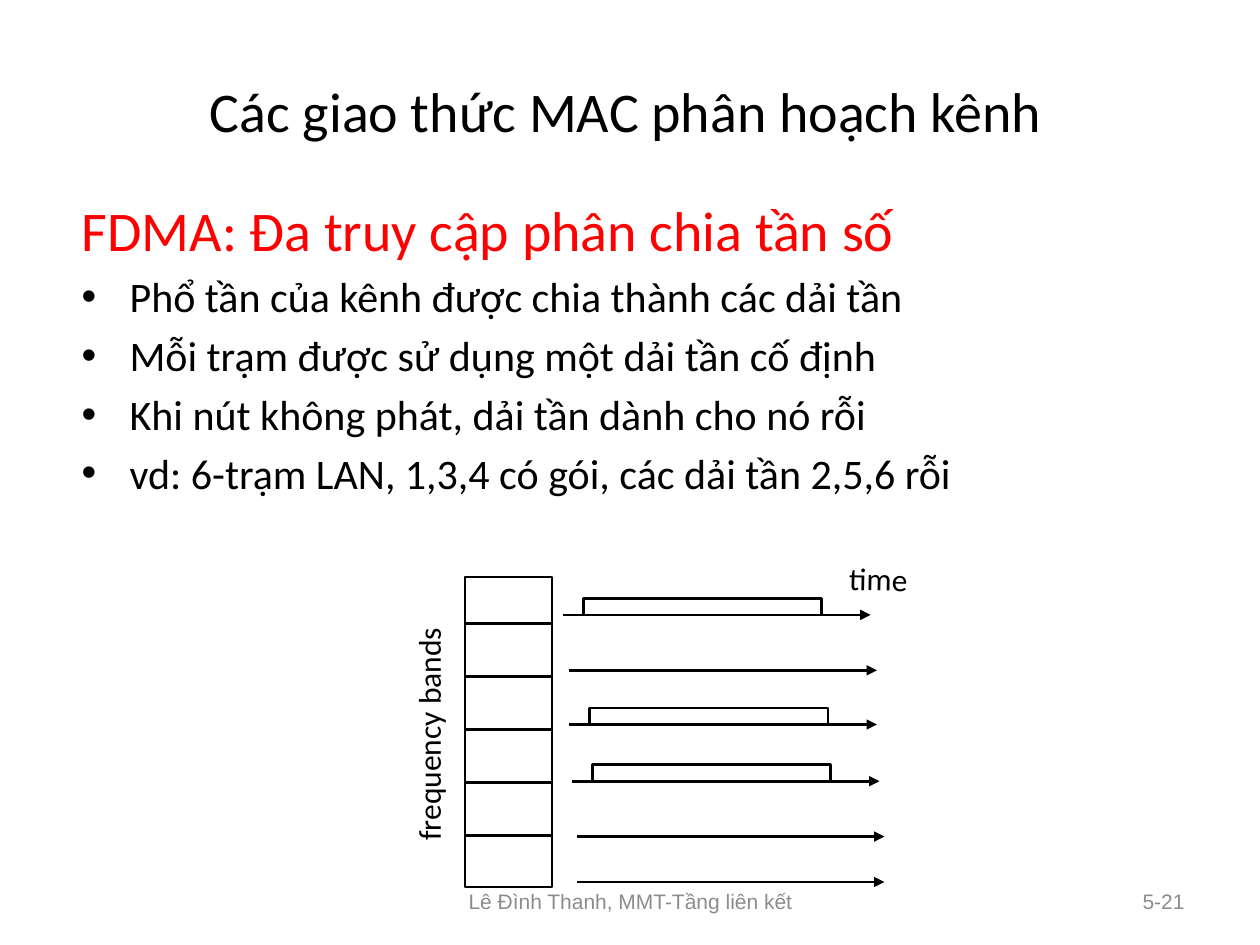
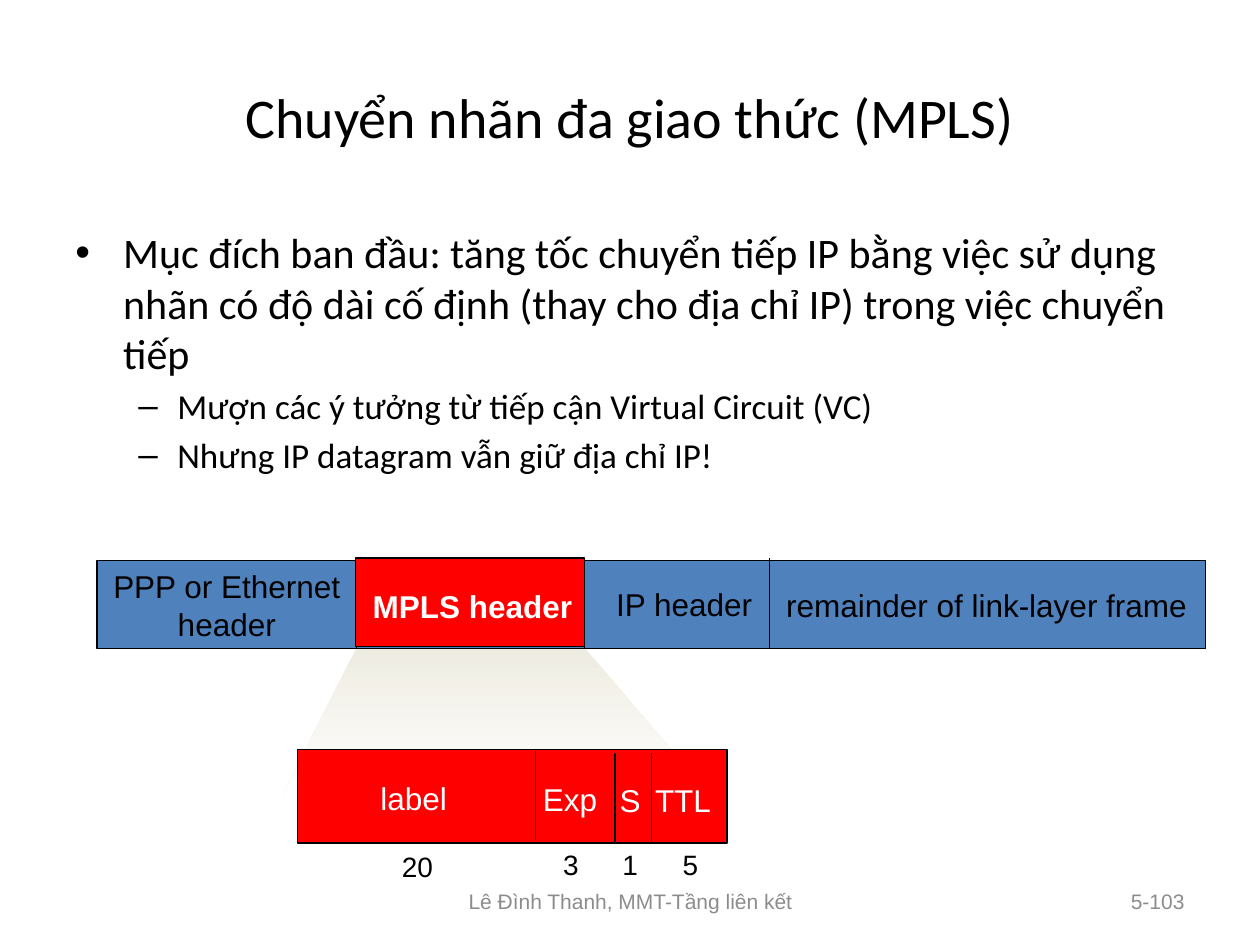
from lxml.etree import SubElement
from pptx import Presentation
from pptx.dml.color import RGBColor
from pptx.enum.shapes import MSO_CONNECTOR, MSO_SHAPE
from pptx.enum.text import MSO_ANCHOR, MSO_AUTO_SIZE, PP_ALIGN
from pptx.oxml.ns import qn
from pptx.util import Inches, Pt

BLACK = RGBColor(0x00, 0x00, 0x00)
WHITE = RGBColor(0xFF, 0xFF, 0xFF)
RED = RGBColor(0xFF, 0x00, 0x00)
BLUE = RGBColor(0x4F, 0x81, 0xBD)
GREY = RGBColor(0x8C, 0x8C, 0x8C)
CREAM = RGBColor(0xEE, 0xEC, 0xE1)
LEFT, CENTER, RIGHT = PP_ALIGN.LEFT, PP_ALIGN.CENTER, PP_ALIGN.RIGHT
FOOTER = "Lê Đình Thanh, MMT-Tầng liên kết"
INDENTS = {"": (0.38, 0.38), "•": (0.38, 0.38), "–": (0.81, 0.31)}


class Deck:
    """Hold the lecture style and draw elements on the current slide."""

    def __init__(self):
        self.prs = Presentation()
        self.prs.slide_width, self.prs.slide_height = Inches(10), Inches(7.5)

    def slide(self, title, title_box, number):
        self.s = self.prs.slides.add_slide(self.prs.slide_layouts[6])
        footer = {"size": 12, "color": GREY, "wrap": True, "anchor": MSO_ANCHOR.MIDDLE}
        self.text(FOOTER, (3.42, 6.95, 3.17, 0.4), align=CENTER, **footer)
        self.text(number, (7.17, 6.95, 2.33, 0.4), align=RIGHT, **footer)
        self.text(title, title_box, size=32, font="Calibri", align=CENTER,
                  wrap=True, anchor=MSO_ANCHOR.MIDDLE)

    def run(self, p, text, **fmt):
        r = p.add_run()
        r.text = text
        r.font.color.rgb = fmt.pop("color")
        for name, value in fmt.items():
            setattr(r.font, name, value)

    def text(self, text, box, size=18, font="Arial", color=BLACK, bold=False,
             align=LEFT, wrap=False, anchor=MSO_ANCHOR.TOP, rotation=0, fill=None):
        sp = self.s.shapes.add_textbox(*map(Inches, box))
        sp.rotation = rotation
        if fill is not None:
            sp.fill.solid()
            sp.fill.fore_color.rgb = fill
        tf = sp.text_frame
        fit = MSO_AUTO_SIZE.NONE if wrap else MSO_AUTO_SIZE.SHAPE_TO_FIT_TEXT
        frame = {"word_wrap": wrap, "vertical_anchor": anchor, "auto_size": fit}
        for name, value in frame.items():
            setattr(tf, name, value)
        for i, line in enumerate(text.split("\n")):
            p = tf.add_paragraph() if i else tf.paragraphs[0]
            p.alignment = align
            self.run(p, line, size=Pt(size), name=font, bold=bold, color=color)

    def body(self, items, box):
        tf = self.s.shapes.add_textbox(*map(Inches, box)).text_frame
        tf.word_wrap = True
        for i, (bullet, size, color, text) in enumerate(items):
            p = tf.add_paragraph() if i else tf.paragraphs[0]
            p.space_before = Pt(size * 0.2)
            margin, hang = INDENTS[bullet]
            pPr = p._p.get_or_add_pPr()
            pPr.set("marL", str(Inches(margin)))
            pPr.set("indent", str(-Inches(hang)))
            if bullet:
                SubElement(pPr, qn("a:buFont")).set("typeface", "Arial")
                SubElement(pPr, qn("a:buChar")).set("char", bullet)
            self.run(p, text, size=Pt(size), name="Calibri", color=color)

    def rect(self, box, fill, width=0.75):
        sp = self.s.shapes.add_shape(MSO_SHAPE.RECTANGLE, *map(Inches, box))
        sp.shadow.inherit = False
        sp.fill.solid()
        sp.fill.fore_color.rgb = fill
        sp.line.color.rgb = BLACK
        sp.line.width = Pt(width)

    def line(self, x1, y1, x2, y2, width=0.75, arrow=False):
        ends = map(Inches, (x1, y1, x2, y2))
        c = self.s.shapes.add_connector(MSO_CONNECTOR.STRAIGHT, *ends)
        c.line.color.rgb = BLACK
        c.line.width = Pt(width)
        if arrow:
            SubElement(c.line._get_or_add_ln(), qn("a:tailEnd")).set("type", "triangle")
        SubElement(c._element.spPr, qn("a:effectLst"))

    def outline(self, points, close=False):
        points = [(Inches(x), Inches(y)) for x, y in points]
        builder = self.s.shapes.build_freeform(*points[0])
        builder.add_line_segments(points[1:], close=close)
        sp = builder.convert_to_shape()
        sp.shadow.inherit = False
        return sp

    def pulse(self, x, y, w=1.89, h=0.13):
        sp = self.outline([(x, y), (x, y - h), (x + w, y - h), (x + w, y)])
        sp.fill.background()
        sp.line.color.rgb = BLACK
        sp.line.width = Pt(1.5)

    def beam(self, points):
        sp = self.outline(points, close=True)
        sp.line.fill.background()
        sp.fill.gradient()
        sp.fill.gradient_angle = 270
        for stop, color, pos in zip(sp.fill.gradient_stops, (CREAM, WHITE), (0, 1)):
            stop.color.rgb = color
            stop.position = pos


def fdma(d):
    d.slide("Các giao thức MAC phân hoạch kênh", (0.25, 0.25, 9.44, 1.25), "5-21")
    points = ["Phổ tần của kênh được chia thành các dải tần",
              "Mỗi trạm được sử dụng một dải tần cố định",
              "Khi nút không phát, dải tần dành cho nó rỗi",
              "vd: 6-trạm LAN, 1,3,4 có gói, các dải tần 2,5,6 rỗi"]
    d.body([("", 32, RED, "FDMA: Đa truy cập phân chia tần số")]
           + [("•", 24, BLACK, point) for point in points], (0.55, 1.5, 8.99, 5.08))

    d.rect((3.69, 4.58, 0.69, 2.46), WHITE, 1.5)
    for i in range(5):
        y = 4.95 + 0.42 * i
        d.line(3.68, y, 4.37, y, 1.5)
    axes = [(4.47, 4.88, True), (4.52, 5.32, False), (4.52, 5.75, True),
            (4.54, 6.2, True), (4.58, 6.64, False), (4.58, 7, False)]
    for x, y, busy in axes:
        d.line(x, y, x + 2.44, y, 1.5, arrow=True)
        if busy:
            d.pulse(x + 0.16, y)
    d.text("frequency bands", (2.34, 5.51, 2.12, 0.4), font="Calibri", rotation=270)
    d.text("time", (6.64, 4.39, 0.72, 0.4), font="Calibri", rotation=1.1)


def mpls(d):
    d.slide("Chuyển nhãn đa giao thức (MPLS)", (0.5, 0.3, 9, 1.25), "5-103")
    d.body([("•", 24, BLACK, "Mục đích ban đầu: tăng tốc chuyển tiếp IP bằng việc sử dụng "
             "nhãn có độ dài cố định (thay cho địa chỉ IP) trong việc chuyển tiếp"),
            ("–", 20, BLACK, "Mượn các ý tưởng từ tiếp cận Virtual Circuit (VC)"),
            ("–", 20, BLACK, "Nhưng IP datagram vẫn giữ địa chỉ IP!")],
           (0.5, 1.75, 9, 4.95))

    d.beam([(2.83, 5.14), (2.24, 6.32), (5.64, 6.32), (4.64, 5.14)])
    d.rect((0.77, 4.45, 8.8, 0.7), BLUE)
    d.text("PPP or Ethernet\nheader", (0.76, 4.45, 2.08, 0.7), align=CENTER)
    d.text("IP header", (4.79, 4.59, 1.28, 0.4), align=CENTER)
    d.text("remainder of link-layer frame", (6.14, 4.6, 3.38, 0.4))
    for x in (2.83, 4.64, 6.11):
        d.line(x, 4.43, x, 5.15)
    d.rect((2.82, 4.43, 1.82, 0.7), RED)
    d.text("MPLS header", (2.75, 4.61, 2, 0.4), color=WHITE, bold=True, align=CENTER)

    d.rect((2.36, 5.95, 3.41, 0.74), RED)
    fields = [("label", 2.92, 6.13, 0.73), ("Exp", 4.21, 6.14, 0.63),
              ("S", 4.82, 6.15, 0.37), ("TTL", 5.1, 6.15, 0.65)]
    for name, x, y, w in fields:
        d.text(name, (x, y, w, 0.4), color=WHITE, fill=RED)
    for x, top in ((4.25, 5.96), (4.88, 5.98), (5.17, 5.98)):
        d.line(x, top, x, top + 0.71)
    bits = [("20", 3.09, 6.69, 0.45), ("3", 4.37, 6.68, 0.32),
            ("1", 4.84, 6.68, 0.32), ("5", 5.32, 6.68, 0.32)]
    for count, x, y, w in bits:
        d.text(count, (x, y, w, 0.37), size=16)


def main():
    d = Deck()
    fdma(d)
    mpls(d)
    d.prs.save("out.pptx")


if __name__ == "__main__":
    main()
